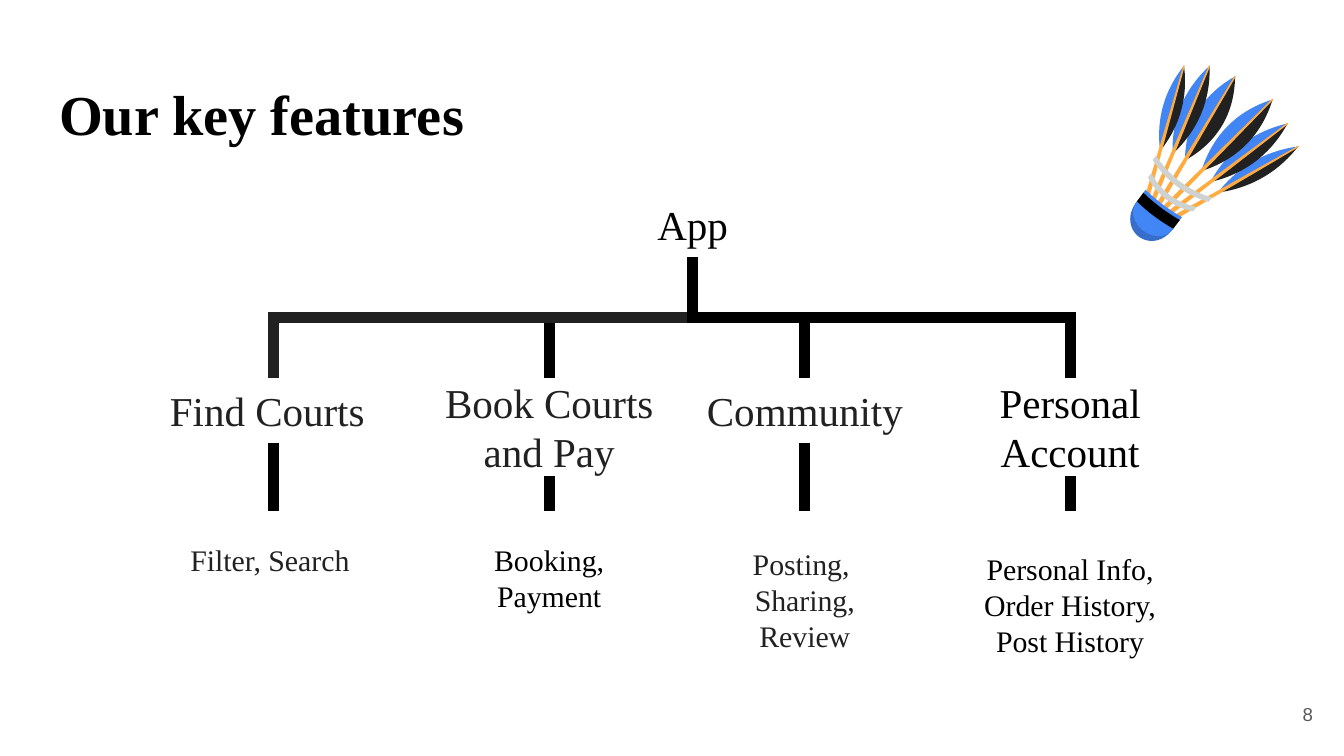
"""Build a slide with a feature tree of an app and a shuttlecock drawing."""
from dataclasses import dataclass
from math import hypot

from lxml import etree
from pptx import Presentation
from pptx.dml.color import RGBColor
from pptx.enum.shapes import MSO_CONNECTOR
from pptx.enum.text import MSO_ANCHOR, PP_ALIGN
from pptx.oxml.ns import qn
from pptx.util import Pt

STRAIGHT, ELBOW = MSO_CONNECTOR.STRAIGHT, MSO_CONNECTOR.ELBOW
TOP, MIDDLE = MSO_ANCHOR.TOP, MSO_ANCHOR.MIDDLE
LEFT, CENTER, RIGHT = PP_ALIGN.LEFT, PP_ALIGN.CENTER, PP_ALIGN.RIGHT
BOTTOM_SITE, TOP_SITE = 2, 0
COLORS = {"black": "000000", "dark": "212121", "blue": "4285F4", "shade": "376ECB",
          "orange": "FFAB40", "silver": "CED2D0", "gray": "595959"}
SERIF, SANS = "Times New Roman", "Arial"

ROOT_X, ROOT_TOP, ROOT_W = 371, 102.8, 223
BRANCH_TOP, LEAF_TOP = 202.3, 273.6
ONE_LINE, TWO_LINES = 34.8, 52.6
COLUMN_W = 125.3

RIM_X, RIM_Y = 623.2, 109.4
ACROSS, DOWN = (0.8, 0.6), (-0.6, 0.8)
CORK_HALF, FOOT_HALF, SHAFT_HALF = 12.2, 10, 0.9
BAND_TOP, BAND_H = 1.5, 5.8
VANE_SHARE = 0.67
FEATHERS = [((695.5, 78.5), 5), ((689.8, 66.2), 5.8), ((681.8, 53.3), 7),
            ((661.7, 41), 7.5), ((648, 35.3), 5.8), ((634.3, 35.3), 5)]
RINGS = [(18.7, -18.5), (15.1, -9.5)]


@dataclass
class Branch:
    """Describe one column of the tree: a feature and its details."""

    x: float
    name: str
    details: list
    details_h: float
    name_h: float = ONE_LINE
    name_w: float = COLUMN_W
    details_w: float = COLUMN_W
    name_color: str = "dark"
    details_color: str = "black"
    elbow_color: str = "black"
    align: PP_ALIGN = CENTER


BRANCHES = [
    Branch(294.2, "Book Courts and Pay", ["Booking,", "Payment"], 71.3,
           name_h=TWO_LINES, name_w=136.1, details_w=159.1),
    Branch(146.6, "Find Courts", ["Filter, Search "], TWO_LINES,
           details_color="dark", elbow_color="dark", align=LEFT),
    Branch(573.3, "Personal Account", ["Personal Info,", "Order History,", "Post History"],
           100.8, name_h=TWO_LINES, name_color="black"),
    Branch(431.2, "Community", ["Posting, ", "Sharing,", "Review"], 95,
           details_color="dark"),
]


def between(a, b, t):
    """Return the point at share t of the way from a to b."""
    return a[0] + (b[0] - a[0]) * t, a[1] + (b[1] - a[1]) * t


def bow(a, b, depth, shoulder=0.33, steps=24):
    """Return points of a curve from a to b that bulges sideways by depth."""
    dx, dy = b[0] - a[0], b[1] - a[1]
    push = depth * 4 / 3 / hypot(dx, dy)
    c1, c2 = [(x - dy * push, y + dx * push)
              for x, y in (between(a, b, shoulder), between(a, b, 1 - shoulder))]
    pts = []
    for i in range(steps + 1):
        t = i / steps
        p, q, r = between(a, c1, t), between(c1, c2, t), between(c2, b, t)
        pts.append(between(between(p, q, t), between(q, r, t), t))
    return pts


def on_cork(u, v):
    """Convert distances across and down the tilted cork to slide points."""
    return (RIM_X + u * ACROSS[0] + v * DOWN[0], RIM_Y + u * ACROSS[1] + v * DOWN[1])


def cork_arc(half, v, sag, shoulder=0.33):
    """Return an arc across the cork axis that sags towards its bottom."""
    return bow(on_cork(-half, v), on_cork(half, v), sag, shoulder)


def cork_strip(half, v, height, sag):
    """Return a curved strip across the cork axis."""
    return cork_arc(half, v, sag) + cork_arc(half, v + height, sag)[::-1]


class Deck:
    """Hold the style and the current slide."""

    def __init__(self, prs):
        """Add a slide with a title placeholder."""
        self.s = prs.slides.add_slide(prs.slide_layouts[5])

    def fill_text(self, sp, lines, size, color, align, anchor=MIDDLE, font=SERIF, bold=False):
        """Write formatted lines into a shape."""
        tf = sp.text_frame
        tf.word_wrap = True
        tf.vertical_anchor = anchor
        tf.margin_left = tf.margin_right = tf.margin_top = tf.margin_bottom = Pt(7.2)
        for i, line in enumerate(lines):
            p = tf.add_paragraph() if i else tf.paragraphs[0]
            p.text = line
            p.alignment = align
            p.font.name, p.font.size, p.font.bold = font, Pt(size), bold
            p.font.color.rgb = RGBColor.from_string(COLORS[color])

    def title(self, text, x, y, w, h):
        """Place the title placeholder."""
        sp = self.s.shapes.title
        sp.left, sp.top, sp.width, sp.height = Pt(x), Pt(y), Pt(w), Pt(h)
        self.fill_text(sp, [text], 30.2, "black", LEFT, TOP, bold=True)

    def text(self, lines, center_x, y, w, h, size, color, align=CENTER, font=SERIF):
        """Add a text box centred on a vertical axis."""
        sp = self.s.shapes.add_textbox(Pt(center_x - w / 2), Pt(y), Pt(w), Pt(h))
        self.fill_text(sp, lines, size, color, align, font=font)
        return sp

    def connector(self, kind, x1, y1, x2, y2, color):
        """Add a thick connector with sharp corners and no shadow."""
        c = self.s.shapes.add_connector(kind, Pt(x1), Pt(y1), Pt(x2), Pt(y2))
        c.line.width = Pt(6)
        c.line.color.rgb = RGBColor.from_string(COLORS[color])
        etree.SubElement(c.line._get_or_add_ln(), qn("a:miter"), lim="800000")
        etree.SubElement(c._element.spPr, qn("a:effectLst"))
        return c

    def elbow(self, x1, y1, x2, y2, color):
        """Add an elbow turned a quarter so that it leaves and arrives vertically."""
        cx, cy = between((x1, y1), (x2, y2), 0.5)
        half_w, half_h = (x2 - x1) / 2, (y2 - y1) / 2
        c = self.connector(ELBOW, cx - half_h, cy + half_w, cx + half_h, cy - half_w, color)
        c._element.spPr.find(qn("a:xfrm")).set("rot", "5400000")

    def join(self, upper, lower):
        """Connect the bottom of one box to the top of another."""
        c = self.connector(STRAIGHT, 0, 0, 0, 0, "black")
        c.begin_connect(upper, BOTTOM_SITE)
        c.end_connect(lower, TOP_SITE)

    def outline(self, shapes, pts, color, stroke=0):
        """Add a closed filled outline."""
        start, *rest = [(Pt(x), Pt(y)) for x, y in pts]
        fb = shapes.build_freeform(*start)
        fb.add_line_segments(rest, close=True)
        sp = fb.convert_to_shape()
        sp.shadow.inherit = False
        sp.fill.solid()
        sp.fill.fore_color.rgb = RGBColor.from_string(COLORS[color])
        if stroke:
            sp.line.width = Pt(stroke)
            sp.line.color.rgb = RGBColor.from_string(COLORS[color])
        else:
            sp.line.fill.background()

    def shuttlecock(self):
        """Draw feathers, shafts, rings and cork as one group."""
        shapes = self.s.shapes.add_group_shape().shapes
        shafts = []
        for i, (tip, width) in enumerate(FEATHERS):
            u = FOOT_HALF * (1 - 2 * i / (len(FEATHERS) - 1))
            base = between(tip, on_cork(u, 0), VANE_SHARE)
            self.outline(shapes, bow(tip, base, -width), "dark")
            self.outline(shapes, bow(tip, base, width), "blue")
            shafts.append([tip, on_cork(u - SHAFT_HALF, 0), on_cork(u + SHAFT_HALF, 0)])
        for shaft in shafts:
            self.outline(shapes, shaft, "orange", stroke=0.75)
        for half, v in RINGS:
            self.outline(shapes, cork_strip(half, v, 3, 3.5), "silver")
        band_bottom = BAND_TOP + BAND_H
        for color, depth in (("shade", 14.5), ("blue", 10.5)):
            self.outline(shapes, cork_arc(CORK_HALF, band_bottom, depth, shoulder=0), color)
        self.outline(shapes, cork_strip(CORK_HALF, -0.5, 3, 0.8), "blue")
        self.outline(shapes, cork_strip(CORK_HALF, BAND_TOP, BAND_H, 0.8), "black")

    def branch(self, b):
        """Add one column and link it to the root."""
        name = self.text([b.name], b.x, BRANCH_TOP, b.name_w, b.name_h, 22, b.name_color, b.align)
        details = self.text(b.details, b.x, LEAF_TOP, b.details_w, b.details_h, 16,
                            b.details_color)
        self.elbow(ROOT_X, ROOT_TOP + ONE_LINE, b.x, BRANCH_TOP, b.elbow_color)
        self.join(name, details)


def main():
    """Build and save the slide."""
    prs = Presentation()
    prs.slide_width, prs.slide_height = Pt(720), Pt(405)
    deck = Deck(prs)
    deck.shuttlecock()
    deck.title("Our key features", 24.5, 35.3, 671, 45.4)
    deck.text(["App"], ROOT_X, ROOT_TOP, ROOT_W, ONE_LINE, 22, "black")
    for b in BRANCHES:
        deck.branch(b)
    deck.text(["8"], 688.8, 367.2, 43.2, 31, 10, "gray", RIGHT, SANS)
    prs.save("out.pptx")


if __name__ == "__main__":
    main()
